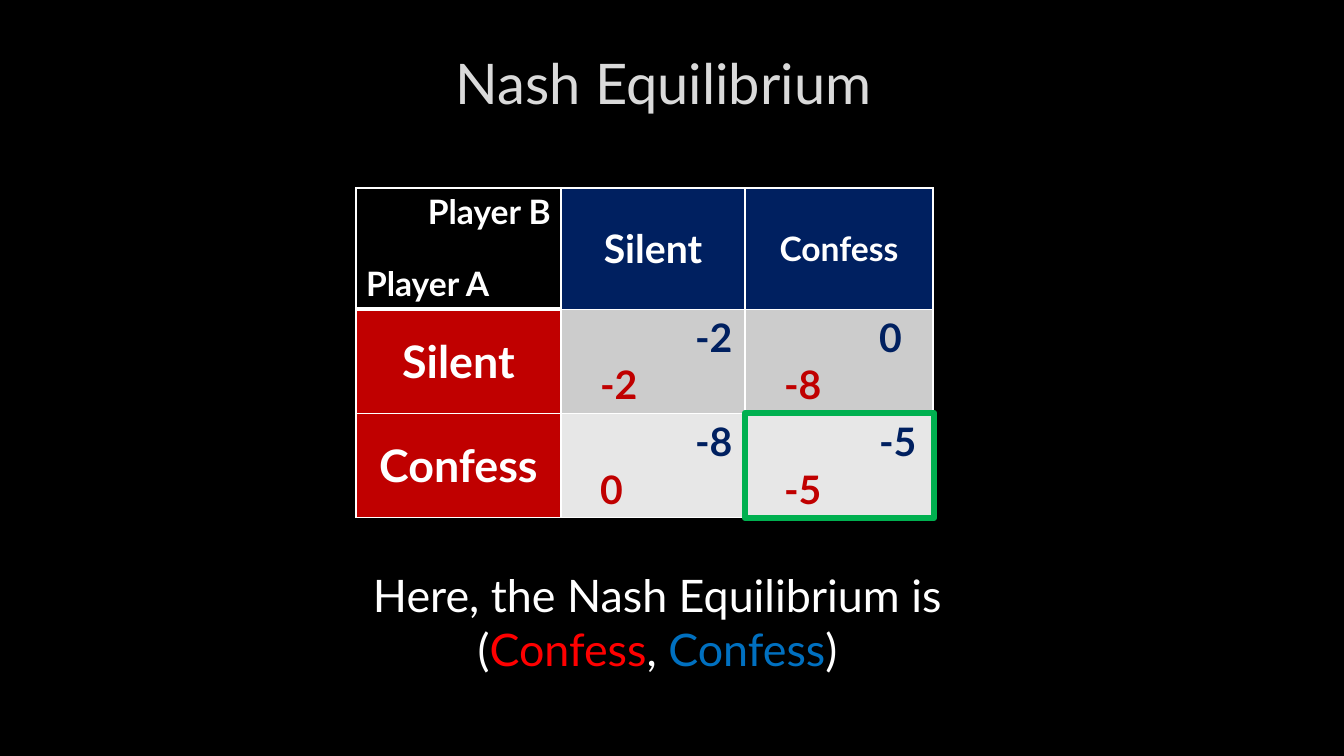
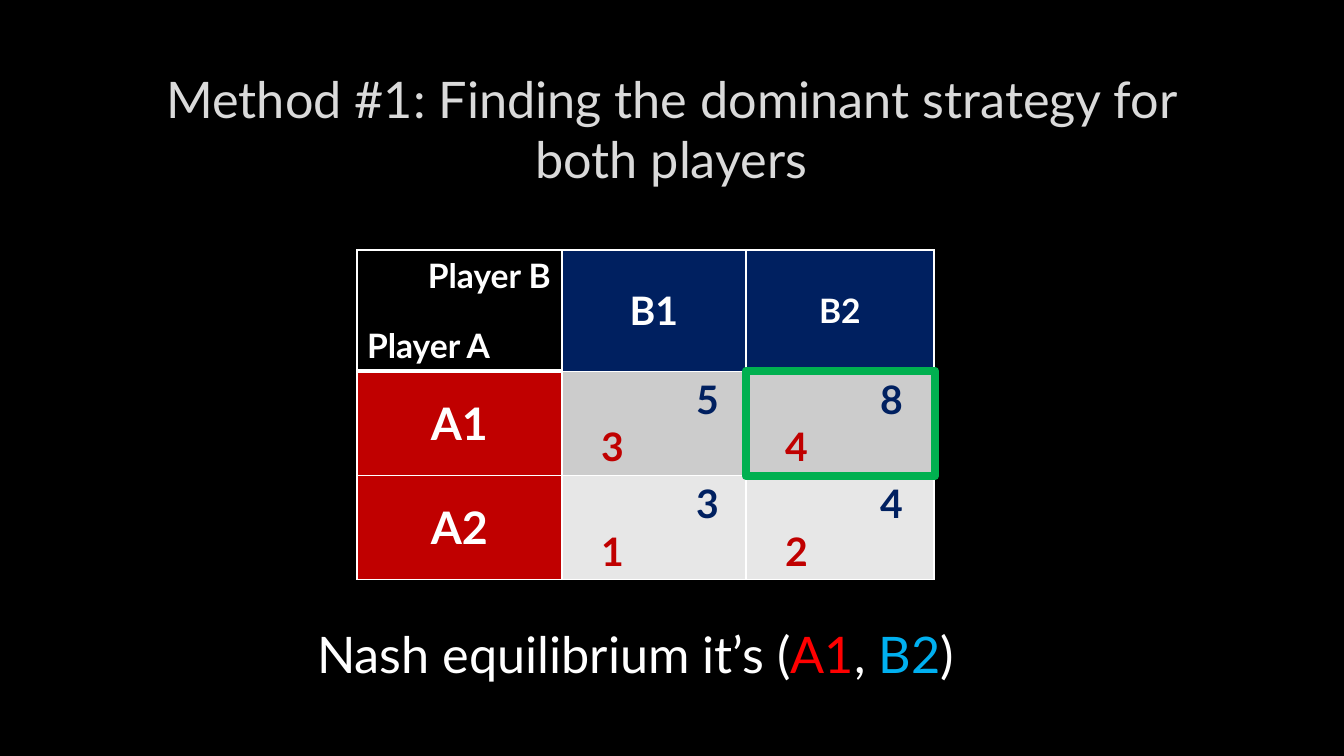
import lxml.etree
import pptx
import pptx.dml.color
import pptx.enum.shapes
import pptx.enum.text
import pptx.oxml.ns
import pptx.util

PX = 12192000 / 1344
FONT = "Lato"
COLOURS = {
    "black": "000000", "white": "FFFFFF", "title": "DADADA",
    "navy": "002060", "crimson": "C00000", "dark_row": "CCCCCC",
    "light_row": "E7E7E7", "green": "00B050", "red": "FF0000",
    "blue": "0070C0", "sky": "00B0F0",
}
RGB = {name: pptx.dml.color.RGBColor.from_string(value) for name, value in COLOURS.items()}
ALIGN = pptx.enum.text.PP_ALIGN
ANCHOR = pptx.enum.text.MSO_ANCHOR

COLUMNS = [205, 184, 188]
ROWS = [121, 104, 104]
HEADER_SIZES = [28, 24]
ROW_LABEL_SIZE = 32
PAYOFF_SIZE = 28
PAYOFF_INDENTS = {"navy": 124, "crimson": 29}
# Border widths in points above and below each table row
ROW_EDGES = [(1, 0.25), (0.25, 1), (1, 1)]
CORNER_RULE = 3

GAMES = [
    {
        "title": ("Nash Equilibrium", 40, (93, 29, 1141, 107)),
        "table_at": (356, 188),
        "player_b_top": 186,
        "a_moves": ["Silent", "Confess"],
        "b_moves": ["Silent", "Confess"],
        "payoffs": [[("-2", "-2"), ("-8", "0")], [("0", "-8"), ("-5", "-5")]],
        "equilibrium": (1, 1),
        "outline": 4.5,
        "caption": ("Here, the Nash Equilibrium is (", 32, "blue", (279, 563, 757, 119)),
    },
    {
        "title": ("Method #1: Finding the dominant strategy for both players", 36,
                  (101, 68, 1141, 121)),
        "table_at": (357, 250),
        "player_b_top": 250,
        "a_moves": ["A1", "A2"],
        "b_moves": ["B1", "B2"],
        "payoffs": [[("3", "5"), ("4", "8")], [("1", "3"), ("2", "4")]],
        "equilibrium": (0, 1),
        "outline": 6,
        "caption": ("Nash equilibrium it’s (", 36, "sky", (270, 618, 731, 72)),
    },
]


def write(paragraph, pieces, size, bold=False, align=ALIGN.LEFT):
    """Fill a paragraph with (text, colour) pieces in one size."""
    paragraph.alignment = align
    paragraph.font.name = FONT
    paragraph.font.size = pptx.util.Pt(size)
    paragraph.font.bold = bold
    for text, colour in pieces:
        span = paragraph.add_run()
        span.text = text
        span.font.color.rgb = RGB[colour]


def add_text(page, place, pieces, size, bold=False, align=ALIGN.CENTER, anchor=ANCHOR.TOP):
    box = page.shapes.add_textbox(*[round(length * PX) for length in place])
    box.text_frame.word_wrap = True
    box.text_frame.vertical_anchor = anchor
    write(box.text_frame.paragraphs[0], pieces, size, bold, align)


deck = pptx.Presentation()
deck.slide_width = round(1344 * PX)
deck.slide_height = round(756 * PX)
background = deck.slide_master.background.fill
background.solid()
background.fore_color.rgb = RGB["black"]

for game in GAMES:
    page = deck.slides.add_slide(deck.slide_layouts[6])
    title, title_size, title_place = game["title"]
    add_text(page, title_place, [(title, "title")], title_size, anchor=ANCHOR.MIDDLE)

    left, top = game["table_at"]
    place = (left, top, sum(COLUMNS), sum(ROWS))
    table = page.shapes.add_table(3, 3, *[round(length * PX) for length in place]).table
    table.first_row = False
    table.horz_banding = False
    for column, width in zip(table.columns, COLUMNS):
        column.width = round(width * PX)
    for row, height in zip(table.rows, ROWS):
        row.height = round(height * PX)

    for r in range(3):
        for c in range(3):
            cell = table.cell(r, c)
            above, below = ROW_EDGES[r]
            if c == 0 and r == 0:
                below = CORNER_RULE
            elif c == 0 and r == 1:
                above = CORNER_RULE
            properties = cell._tc.get_or_add_tcPr()
            for edge, width in [("lnL", 1), ("lnR", 1), ("lnT", above), ("lnB", below)]:
                line = lxml.etree.SubElement(properties, pptx.oxml.ns.qn("a:" + edge),
                                             w=str(pptx.util.Pt(width)))
                fill = lxml.etree.SubElement(line, pptx.oxml.ns.qn("a:solidFill"))
                lxml.etree.SubElement(fill, pptx.oxml.ns.qn("a:srgbClr"), val=COLOURS["white"])

            para = cell.text_frame.paragraphs[0]
            cell.vertical_anchor = ANCHOR.MIDDLE
            if r == 0 and c == 0:
                shade = "black"
                cell.vertical_anchor = ANCHOR.BOTTOM
                write(para, [("Player A", "white")], 24, True)
            elif r == 0:
                shade = "navy"
                write(para, [(game["b_moves"][c - 1], "white")], HEADER_SIZES[c - 1],
                      True, ALIGN.CENTER)
            elif c == 0:
                shade = "crimson"
                write(para, [(game["a_moves"][r - 1], "white")], ROW_LABEL_SIZE,
                      True, ALIGN.CENTER)
            else:
                shade = ["dark_row", "light_row"][r - 1]
                cell.vertical_anchor = ANCHOR.TOP
                a_payoff, b_payoff = game["payoffs"][r - 1][c - 1]
                lines = [(para, b_payoff, "navy"),
                         (cell.text_frame.add_paragraph(), a_payoff, "crimson")]
                for para, payoff, colour in lines:
                    write(para, [(payoff, colour)], PAYOFF_SIZE, True)
                    indent = round(PAYOFF_INDENTS[colour] * PX)
                    para._p.get_or_add_pPr().set("marL", str(indent))
            cell.fill.solid()
            cell.fill.fore_color.rgb = RGB[shade]

    add_text(page, (418, game["player_b_top"], 172, 50), [("Player B", "white")], 24,
             True, ALIGN.LEFT)

    a_choice, b_choice = game["equilibrium"]
    place = (left + sum(COLUMNS[:b_choice + 1]), top + sum(ROWS[:a_choice + 1]),
             COLUMNS[b_choice + 1] + 1, ROWS[a_choice + 1] + 1)
    highlight = page.shapes.add_shape(pptx.enum.shapes.MSO_SHAPE.RECTANGLE,
                                      *[round(length * PX) for length in place])
    highlight.shadow.inherit = False
    highlight.fill.background()
    highlight.line.color.rgb = RGB["green"]
    highlight.line.width = pptx.util.Pt(game["outline"])

    lead, caption_size, b_colour, caption_place = game["caption"]
    pieces = [(lead, "white"), (game["a_moves"][a_choice], "red"), (", ", "white"),
              (game["b_moves"][b_choice], b_colour), (")", "white")]
    add_text(page, caption_place, pieces, caption_size)

deck.save("out.pptx")
